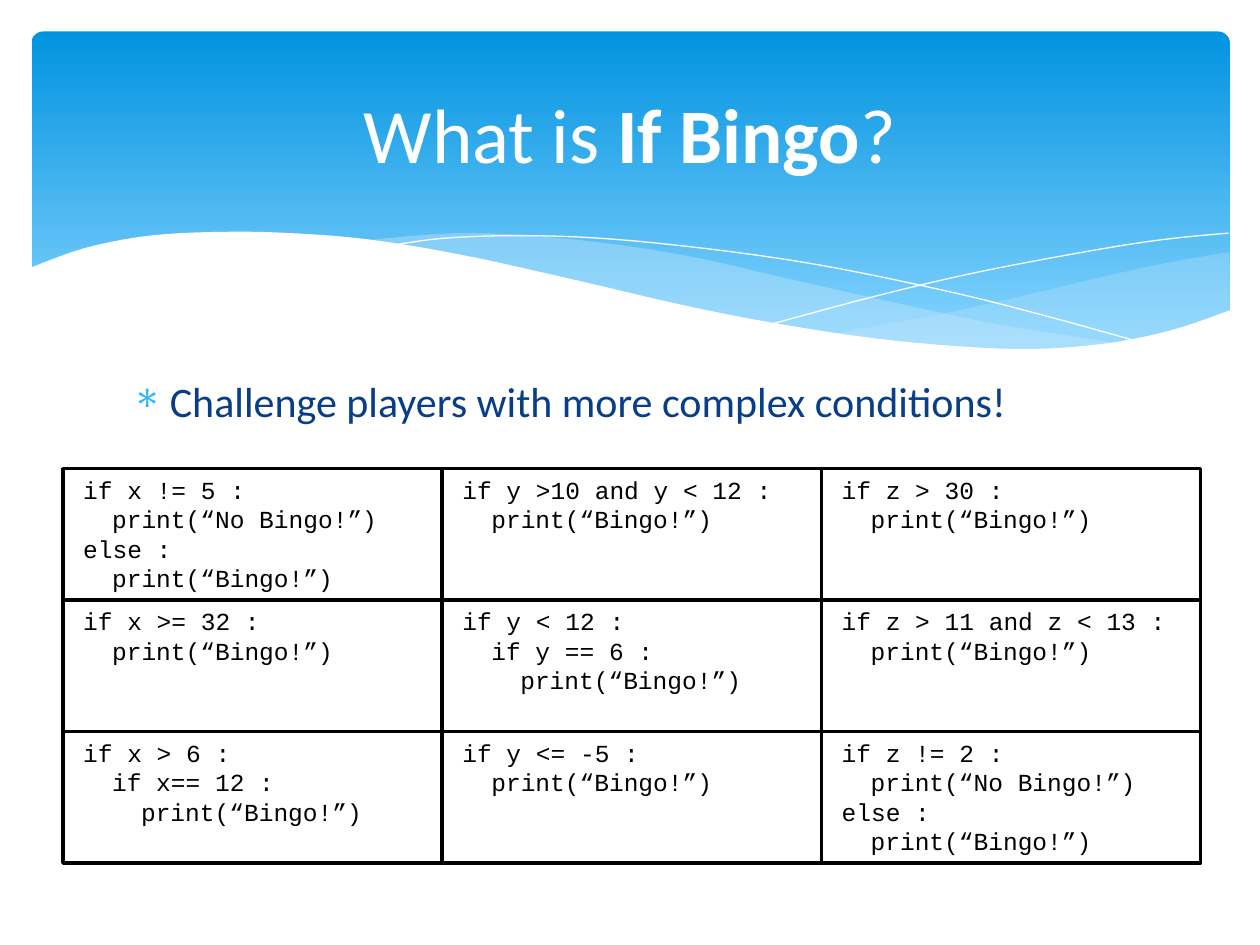
from lxml.etree import SubElement
from pptx import Presentation
from pptx.dml.color import RGBColor
from pptx.enum.shapes import MSO_SHAPE as SHAPE
from pptx.enum.text import MSO_ANCHOR as ANCHOR, PP_ALIGN as ALIGN
from pptx.oxml.ns import qn
from pptx.util import Inches, Pt

COLORS = {
    "sky_top": "0293E0", "sky_bottom": "83D3FE", "mist": "C6E7FC",
    "white": "FFFFFF", "black": "000000", "navy": "073E87", "bullet": "31B6FD",
}

# Knots of the curves, in inches
RIGHT_TOP = [(9.76, 2), (9.35, 2.07), (8.91, 2.16), (8.32, 2.3), (7.53, 2.48), (6.61, 2.65)]
RIGHT_BOTTOM = [(6.61, 2.65), (7.05, 2.71), (7.57, 2.76), (8.03, 2.78), (8.54, 2.76),
                (8.97, 2.7), (9.35, 2.62), (9.76, 2.47)]
MIDDLE_TOP = [(8.93, 2.73), (8.07, 2.6), (7.41, 2.47), (6.29, 2.22), (5.55, 2.05),
              (4.89, 1.94), (4.2, 1.87), (3.61, 1.85), (2.86, 1.91)]
MIDDLE_BOTTOM = [(2.86, 1.91), (3.62, 2.03), (4.49, 2.22), (5.3, 2.4), (6.18, 2.58),
                 (6.95, 2.7), (7.61, 2.77), (8.18, 2.78), (8.93, 2.73)]
FALLING_LINE = [(3.09, 1.95), (3.53, 1.89), (4.16, 1.87), (4.89, 1.9), (5.82, 2),
                (6.65, 2.13), (7.6, 2.33), (8.31, 2.51), (9.07, 2.72)]
RISING_LINE = [(6.13, 2.57), (6.95, 2.35), (7.76, 2.16), (8.66, 1.99), (9.24, 1.9), (9.75, 1.85)]
FRONT_WAVE = [(9.77, 2.46), (9.3, 2.62), (8.75, 2.73), (8.09, 2.77), (7.26, 2.72),
              (6.48, 2.62), (5.55, 2.45), (4.47, 2.2), (3.65, 2.02), (2.92, 1.9),
              (2.3, 1.85), (1.77, 1.84), (1.19, 1.87), (0.67, 1.97), (0.23, 2.13)]
FRONT_BASE = [(0.23, 3.29), (9.77, 3.29)]

# Each line of code is (indent level, text)
BINGO, NO_BINGO = "print(“Bingo!”)", "print(“No Bingo!”)"


def simple(test):
    return [(0, test), (1, BINGO)]


def nested(outer, inner):
    return [(0, outer), (1, inner), (2, BINGO)]


def otherwise(test):
    return [(0, test), (1, NO_BINGO), (0, "else :"), (1, BINGO)]


CARD = [
    [otherwise("if x != 5 :"), simple("if y >10 and y < 12 :"), simple("if z > 30 :")],
    [simple("if x >= 32 :"), nested("if y < 12 :", "if y == 6 :"),
     simple("if z > 11 and z < 13 :")],
    [nested("if x > 6 :", "if x== 12 :"), simple("if y <= -5 :"), otherwise("if z != 2 :")],
]


def rgb(name):
    return RGBColor.from_string(COLORS[name])


def smooth(knots, steps=5):
    """Return points on a Catmull-Rom curve through the knots."""
    ends = [knots[0], *knots, knots[-1]]
    points = [knots[0]]
    for a, b, c, d in zip(ends, ends[1:], ends[2:], ends[3:]):
        for t in (i / steps for i in range(1, steps + 1)):
            points.append(tuple(
                (2 * q + (r - p) * t + (2 * p - 5 * q + 4 * r - s) * t ** 2
                 + (3 * q - p - 3 * r + s) * t ** 3) / 2
                for p, q, r, s in zip(a, b, c, d)))
    return points


def add_run(p, text, font="Calibri", size=24, color="black", bold=False):
    r = p.add_run()
    r.text = text
    r.font.name, r.font.size, r.font.bold = font, Pt(size), bold
    r.font.color.rgb = rgb(color)


def indent(p, left, first=0):
    pPr = p._p.get_or_add_pPr()
    pPr.set("marL", str(Inches(left)))
    pPr.set("indent", str(Inches(first)))
    return pPr


class SlideBuilder:
    code = {"font": "Courier New", "size": 14}
    level_width = 0.23

    def __init__(self, prs):
        self.slide = prs.slides.add_slide(prs.slide_layouts[5])
        self.shapes = self.slide.shapes

    def banner(self, x, y, w, h):
        sp = self.shapes.add_shape(SHAPE.ROUNDED_RECTANGLE, *map(Inches, (x, y, w, h)))
        sp.adjustments[0] = 0.034
        sp.shadow.inherit = False
        sp.line.fill.background()
        sp.fill.gradient()
        sp.fill.gradient_angle = 270
        stops = zip(sp.fill.gradient_stops, (0, 0.9), ("sky_top", "sky_bottom"))
        for stop, position, color in stops:
            stop.position = position
            stop.color.rgb = rgb(color)

    def outline(self, points, close):
        start, *rest = [(Inches(x), Inches(y)) for x, y in points]
        builder = self.shapes.build_freeform(*start)
        builder.add_line_segments(rest, close=close)
        sp = builder.convert_to_shape()
        sp.shadow.inherit = False
        return sp

    def wave(self, points, color, opacity=100):
        sp = self.outline(points, True)
        sp.line.fill.background()
        sp.fill.solid()
        sp.fill.fore_color.rgb = rgb(color)
        if opacity < 100:
            clr = sp._element.spPr.find(".//" + qn("a:srgbClr"))
            SubElement(clr, qn("a:alpha")).set("val", str(opacity * 1000))

    def hairline(self, points):
        sp = self.outline(points, False)
        sp.fill.background()
        sp.line.color.rgb = rgb("white")
        sp.line.width = Pt(0)

    def title(self, x, y, w, h, runs):
        sp = self.shapes.title
        self.shapes._spTree.append(sp._element)  # bring in front of the waves
        sp.left, sp.top, sp.width, sp.height = map(Inches, (x, y, w, h))
        tf = sp.text_frame
        tf.vertical_anchor = ANCHOR.MIDDLE
        p = tf.paragraphs[0]
        p.alignment = ALIGN.CENTER
        for text, bold in runs:
            add_run(p, text, size=44, color="white", bold=bold)

    def bullet(self, x, y, w, h, text):
        tf = self.shapes.add_textbox(*map(Inches, (x, y, w, h))).text_frame
        tf.word_wrap = True
        p = tf.paragraphs[0]
        p.space_before = Pt(4.8)
        pPr = indent(p, 0.3, -0.3)
        clr = SubElement(pPr, qn("a:buClr"))
        SubElement(clr, qn("a:srgbClr")).set("val", COLORS["bullet"])
        SubElement(pPr, qn("a:buFont")).set("typeface", "Symbol")
        SubElement(pPr, qn("a:buChar")).set("char", "∗")
        add_run(p, text, color="navy")

    def code_cell(self, x, y, w, h, lines):
        sp = self.shapes.add_shape(SHAPE.RECTANGLE, *map(Inches, (x, y, w, h)))
        sp.shadow.inherit = False
        sp.fill.background()
        sp.line.color.rgb = rgb("black")
        sp.line.width = Pt(2)
        tf = sp.text_frame
        tf.word_wrap = True
        tf.vertical_anchor = ANCHOR.TOP
        tf.margin_left, tf.margin_right = Inches(0.16), Inches(0.04)
        tf.margin_top = tf.margin_bottom = Inches(0.05)
        for i, (level, text) in enumerate(lines):
            p = tf.add_paragraph() if i else tf.paragraphs[0]
            p.alignment = ALIGN.LEFT
            indent(p, level * self.level_width)
            add_run(p, text, **self.code)

    def card(self, x, y, w, h, rows):
        row_h = h / len(rows)
        for i, row in enumerate(rows):
            col_w = w / len(row)
            for j, lines in enumerate(row):
                self.code_cell(x + j * col_w, y + i * row_h, col_w, row_h, lines)


def main():
    prs = Presentation()
    prs.slide_width, prs.slide_height = Inches(10), Inches(7.5)
    s = SlideBuilder(prs)
    s.banner(0.25, 0.25, 9.51, 2.7)
    s.wave(smooth(RIGHT_TOP) + smooth(RIGHT_BOTTOM), "mist", 29)
    s.wave(smooth(MIDDLE_TOP) + smooth(MIDDLE_BOTTOM), "mist", 40)
    s.hairline(smooth(FALLING_LINE))
    s.hairline(smooth(RISING_LINE))
    s.wave(smooth(FRONT_WAVE) + FRONT_BASE, "white")
    s.title(0.5, 0.37, 9, 1.37, [("What is ", False), ("If Bingo", True), ("?", False)])
    s.card(0.5, 3.72, 9.03, 3.13, CARD)
    s.bullet(0.95, 2.93, 8.1, 0.79, "Challenge players with more complex conditions!")
    prs.save("out.pptx")


if __name__ == "__main__":
    main()
